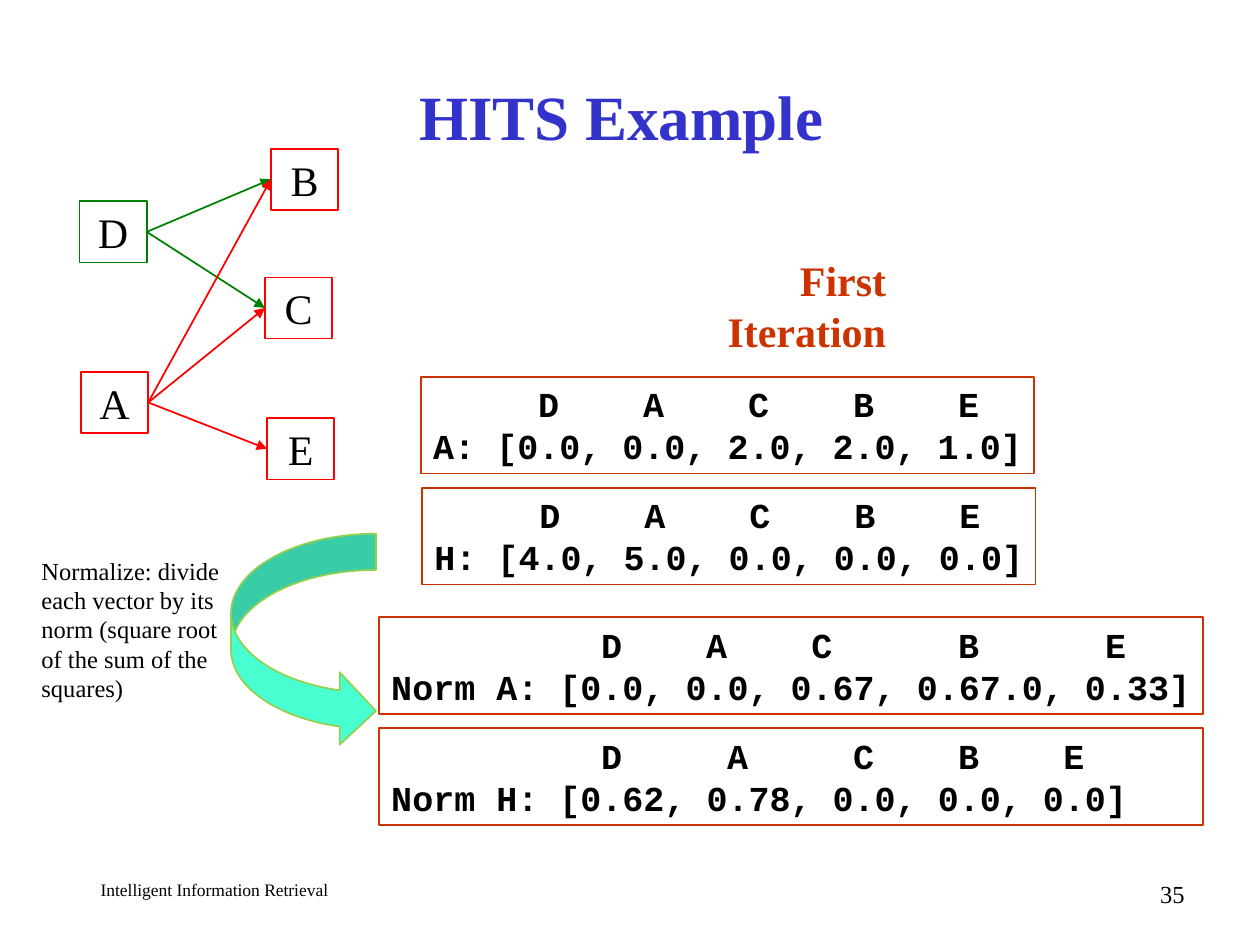
"""Build the HITS example slide with its link graph and score vectors."""
from dataclasses import dataclass

from lxml import etree
from pptx import Presentation
from pptx.dml.color import RGBColor
from pptx.enum.shapes import MSO_CONNECTOR, MSO_SHAPE
from pptx.enum.text import MSO_ANCHOR, PP_ALIGN
from pptx.oxml.ns import qn
from pptx.util import Pt

LEFT, CENTER, RIGHT = PP_ALIGN.LEFT, PP_ALIGN.CENTER, PP_ALIGN.RIGHT
TOP, MIDDLE = MSO_ANCHOR.TOP, MSO_ANCHOR.MIDDLE
RECTANGLE = MSO_SHAPE.RECTANGLE
CURVED_ARROW = MSO_SHAPE.CURVED_RIGHT_ARROW
STRAIGHT = MSO_CONNECTOR.STRAIGHT
LEFT_SITE, RIGHT_SITE = 1, 3


@dataclass(frozen=True)
class Theme:
    serif: str = "Times New Roman"
    mono: str = "Courier New"
    text: str = "000000"
    title: str = "3333CC"
    accent: str = "CC3300"
    green: str = "008000"
    red: str = "FF0000"
    arrow_fill: str = "47FFD1"
    arrow_line: str = "92D050"
    title_size: int = 36
    large_size: int = 24
    vector_size: int = 20
    note_size: int = 14
    footer_size: int = 10
    mono_advance: int = 12
    line_width: int = 1


class SlideBuilder:
    def __init__(self, slide, theme):
        self.slide = slide
        self.theme = theme

    def add_run(self, paragraph, text, size, color=None, bold=False, font=None):
        run = paragraph.add_run()
        run.text = text
        run.font.name = font or self.theme.serif
        run.font.size = Pt(size)
        run.font.bold = bold
        run.font.color.rgb = RGBColor.from_string(color or self.theme.text)

    def style_line(self, item, color):
        item.line.color.rgb = RGBColor.from_string(color)
        item.line.width = Pt(self.theme.line_width)

    def label(self, box, text, size, color=None, bold=False,
              align=LEFT, anchor=TOP, wrap=True):
        shape = self.slide.shapes.add_textbox(*map(Pt, box))
        frame = shape.text_frame
        frame.word_wrap = wrap
        frame.vertical_anchor = anchor
        paragraph = frame.paragraphs[0]
        paragraph.alignment = align
        self.add_run(paragraph, text, size, color, bold)

    def outline(self, box, color):
        shape = self.slide.shapes.add_shape(RECTANGLE, *map(Pt, box))
        shape.shadow.inherit = False
        shape.fill.background()
        self.style_line(shape, color)
        return shape

    def node(self, name, left, top, color):
        shape = self.outline((left, top, 38.5, 35), color)
        frame = shape.text_frame
        frame.word_wrap = False
        frame.vertical_anchor = MIDDLE
        paragraph = frame.paragraphs[0]
        paragraph.alignment = CENTER
        self.add_run(paragraph, name, self.theme.large_size)
        return shape

    def link(self, source, target, color):
        connector = self.slide.shapes.add_connector(STRAIGHT, 0, 0, 0, 0)
        connector.begin_connect(source, RIGHT_SITE)
        connector.end_connect(target, LEFT_SITE)
        self.style_line(connector, color)
        etree.SubElement(connector.line._get_or_add_ln(), qn("a:tailEnd"), type="triangle")
        etree.SubElement(connector._element.spPr, qn("a:effectLst"))

    def vector(self, box, columns, values):
        frame = self.outline(box, self.theme.accent).text_frame
        frame.word_wrap = True
        frame.vertical_anchor = TOP
        frame.margin_right = 0
        header, row = frame.paragraphs[0], frame.add_paragraph()
        tabs = etree.SubElement(header._p.get_or_add_pPr(), qn("a:tabLst"))
        for column in columns:
            position = str(Pt(column * self.theme.mono_advance))
            etree.SubElement(tabs, qn("a:tab"), pos=position, algn="l")
        heading = "".join(f"\t{name}" for name in "DACBE")
        for paragraph, text in ((header, heading), (row, values)):
            paragraph.alignment = LEFT
            self.add_run(paragraph, text, self.theme.vector_size,
                         bold=True, font=self.theme.mono)

    def curved_arrow(self, box):
        shape = self.slide.shapes.add_shape(CURVED_ARROW, *map(Pt, box))
        shape.shadow.inherit = False
        shape.fill.solid()
        shape.fill.fore_color.rgb = RGBColor.from_string(self.theme.arrow_fill)
        self.style_line(shape, self.theme.arrow_line)


def main():
    theme = Theme()
    presentation = Presentation()
    presentation.slide_width, presentation.slide_height = Pt(720), Pt(540)
    slide = presentation.slides.add_slide(presentation.slide_layouts[6])
    builder = SlideBuilder(slide, theme)

    builder.label((50.4, 499, 270, 18), "Intelligent Information Retrieval", theme.footer_size)
    builder.label((534, 498.5, 150, 18), "35", theme.note_size, align=RIGHT)
    builder.label((49, 36, 612, 60), "HITS Example", theme.title_size,
                  theme.title, True, CENTER, MIDDLE)

    positions = {
        "D": (45.4, 115, theme.green),
        "A": (46.2, 212.5, theme.red),
        "B": (154.8, 85, theme.red),
        "C": (151.4, 158.5, theme.red),
        "E": (152.6, 239, theme.red),
    }
    nodes = {name: builder.node(name, *place) for name, place in positions.items()}
    for source, targets in (("D", "BC"), ("A", "BCE")):
        for target in targets:
            builder.link(nodes[source], nodes[target], positions[source][2])

    even_columns = (5, 10, 15, 20, 25)
    vectors = (
        (240.5, 215.3, 350.6, even_columns, "A: [0.0, 0.0, 2.0, 2.0, 1.0]"),
        (241.2, 278.7, 350.6, even_columns, "H: [4.0, 5.0, 0.0, 0.0, 0.0]"),
        (216.5, 352.6, 471, (10, 15, 20, 27, 34), "Norm A: [0.0, 0.0, 0.67, 0.67.0, 0.33]"),
        (216.5, 416, 471, (10, 16, 22, 27, 32), "Norm H: [0.62, 0.78, 0.0, 0.0, 0.0]"),
    )
    for left, top, width, columns, values in vectors:
        builder.vector((left, top, width, 55.4), columns, values)

    builder.label((353.5, 142, 160, 36), "First Iteration", theme.large_size,
                  theme.accent, True, RIGHT, wrap=False)
    builder.curved_arrow((132, 305, 82.8, 122))
    builder.label((16.6, 314, 119.5, 91.5),
                  "Normalize: divide each vector by its norm "
                  "(square root of the sum of the squares)", theme.note_size)
    presentation.save("out.pptx")


if __name__ == "__main__":
    main()
